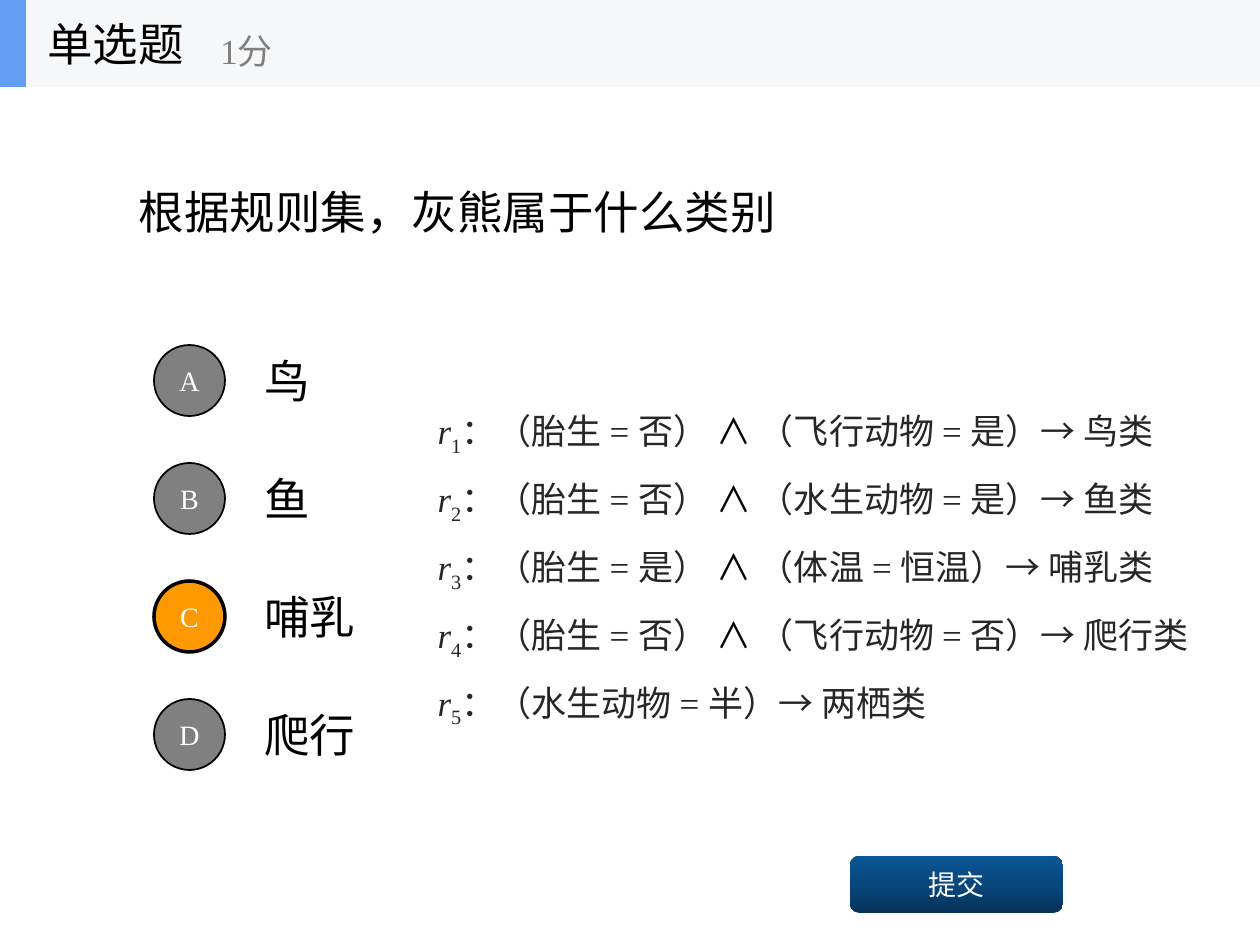
from copy import deepcopy
from dataclasses import dataclass

from pptx import Presentation
from pptx.dml.color import RGBColor
from pptx.enum import shapes, text
from pptx.oxml.ns import qn
from pptx.util import Emu, Pt

SCALE = 914400 / 126


@dataclass(frozen=True)
class Theme:
    """Fonts, type sizes and colours of the quiz slide."""
    font: str = "Times New Roman"
    sign: str = "Lato"
    big: int = 26
    mid: int = 20
    small: int = 16
    ink: str = "000000"
    soft: str = "262626"
    gray: str = "808080"
    white: str = "FFFFFF"
    pick: str = "FF9900"
    bar: str = "F6F7F8"
    edge: str = "639EF4"
    fade: tuple = ("063258", "08477E", "0A5595")


T = Theme()
KIND = shapes.MSO_SHAPE
LEFT, MID = text.PP_ALIGN.LEFT, text.PP_ALIGN.CENTER


def px(*sizes):
    """Turn px lengths into EMU."""
    return [Emu(round(n * SCALE)) for n in sizes]


def rgb(code):
    """Read a hex colour."""
    return RGBColor.from_string(code)


def write(para, words, size=T.big, color=T.ink, font=T.font, italic=False, base=0):
    """Add one formatted run to a paragraph."""
    run = para.add_run()
    run.text = words
    run.font.size = Pt(size)
    run.font.name = font
    run.font.italic = italic
    run.font.color.rgb = rgb(color)
    if base:
        run._r.get_or_add_rPr().set("baseline", str(base * 1000))


def setup(shape, anchor=text.MSO_ANCHOR.MIDDLE, align=LEFT, wrap=True):
    """Prepare a text frame and return its first paragraph."""
    frame = shape.text_frame
    frame.word_wrap = wrap
    frame.auto_size = text.MSO_AUTO_SIZE.NONE
    frame.vertical_anchor = anchor
    para = frame.paragraphs[0]
    para.alignment = align
    return para


def place(shape, box):
    """Move a placeholder to a box."""
    shape.left, shape.top, shape.width, shape.height = px(*box)


def label(slide, box, words, **style):
    """Add a text box with one line."""
    write(setup(slide.shapes.add_textbox(*px(*box))), words, **style)


def block(slide, kind, box, fill=None, line=0):
    """Add a flat preset shape."""
    shape = slide.shapes.add_shape(kind, *px(*box))
    shape.shadow.inherit = False
    if fill:
        shape.fill.solid()
        shape.fill.fore_color.rgb = rgb(fill)
    if line:
        shape.line.color.rgb = rgb(T.ink)
        shape.line.width = Pt(line)
    else:
        shape.line.fill.background()
    return shape


def header(slide, box):
    """Draw the top bar with question type and score."""
    x, y, w, h = box
    block(slide, KIND.RECTANGLE, box, T.bar)
    block(slide, KIND.RECTANGLE, (x, y, 26, h), T.edge)
    label(slide, (x + 35, y, 262, h), "单选题")
    label(slide, (x + 208, y + 15, 315, h - 16), "1分", size=T.mid, color=T.gray)


def choices(slide, box, names, answer):
    """Draw lettered choices at an equal pitch."""
    x, y, w, h = box
    for i, name in enumerate(names):
        top = y + i * h // len(names)
        mark = "ABCD"[i]
        hit = mark == answer
        dot = block(slide, KIND.OVAL, (x, top + 9, 71, 71),
                    T.pick if hit else T.gray, 2 if hit else 1)
        write(setup(dot, align=MID, wrap=False), mark, size=T.small, color=T.white)
        label(slide, (x + 98, top, w - 98, 88), name)


def rules(body, box, items):
    """Fill the body placeholder with numbered rules."""
    place(body, box)
    para = setup(body, text.MSO_ANCHOR.TOP)
    body.text_frame.margin_right = 0
    style = dict(size=T.mid, color=T.soft)
    for i, (terms, kind) in enumerate(items, 1):
        if i > 1:
            para = body.text_frame.add_paragraph()
        props = para._p.get_or_add_pPr()
        props.set("marL", "0")
        props.set("indent", "0")
        props.append(props.makeelement(qn("a:buNone"), {}))
        para.alignment = LEFT
        para.line_spacing = 1.2
        para.space_before = Pt(6 if i > 1 else 0)
        write(para, "r", italic=True, **style)
        write(para, str(i), base=-25, **style)
        *heads, last = [f"（{term}）" for term in terms]
        lead = "："
        for head in heads:
            write(para, lead + head, **style)
            write(para, " ∧ ", size=T.mid, font=T.sign)
            lead = ""
        write(para, f"{lead}{last}→ {kind}", **style)


def button(slide, box, words):
    """Draw the gradient button."""
    shape = block(slide, KIND.ROUNDED_RECTANGLE, box)
    shape.fill.gradient()
    shape.fill.gradient_angle = 90
    first = next(shape._element.iter(qn("a:gs")))
    first.addnext(deepcopy(first))
    for i, stop in enumerate(shape.fill.gradient_stops):
        stop.position = i / 2
        stop.color.rgb = rgb(T.fade[i])
    write(setup(shape, align=MID, wrap=False), words, size=T.small, color=T.white)


def main():
    """Build the quiz slide."""
    deck = Presentation()
    deck.slide_width, deck.slide_height = px(1260, 945)
    slide = deck.slides.add_slide(deck.slide_layouts[1])
    title, body = slide.placeholders
    place(title, (126, 87, 1008, 249))
    write(setup(title), "根据规则集，灰熊属于什么类别")
    choices(slide, (154, 336, 980, 472), ["鸟", "鱼", "哺乳", "爬行"], "C")
    rules(body, (425, 394, 818, 305), [
        (["胎生 = 否", "飞行动物 = 是"], "鸟类"),
        (["胎生 = 否", "水生动物 = 是"], "鱼类"),
        (["胎生 = 是", "体温 = 恒温"], "哺乳类"),
        (["胎生 = 否", "飞行动物 = 否"], "爬行类"),
        (["水生动物 = 半"], "两栖类"),
    ])
    button(slide, (850, 856, 213, 57), "提交")
    header(slide, (0, 0, 1260, 87))
    deck.save("out.pptx")


if __name__ == "__main__":
    main()
